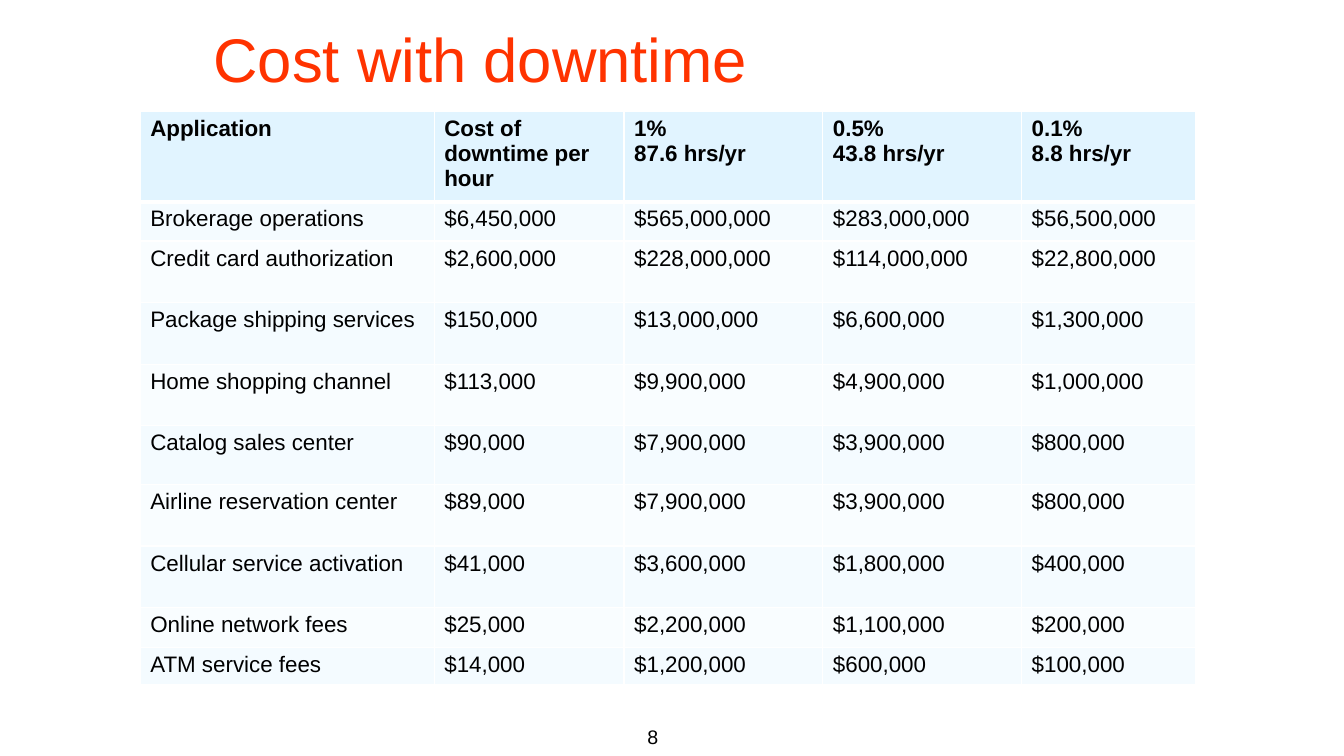
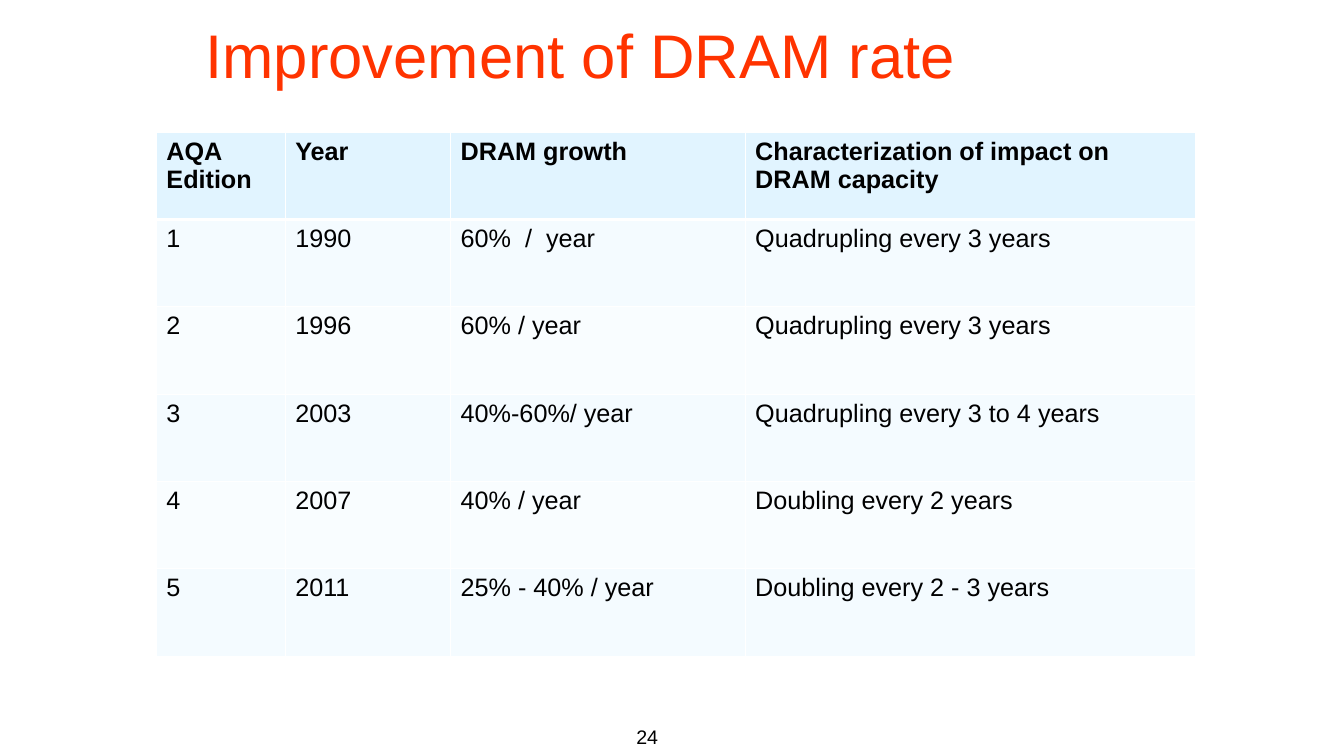
from dataclasses import dataclass

from lxml.etree import SubElement as Sub
from pptx import Presentation
from pptx.dml.color import RGBColor as RGB
from pptx.enum.text import MSO_ANCHOR as Anchor, PP_ALIGN as Align
from pptx.oxml.ns import qn
from pptx.util import Pt


@dataclass(frozen=True)
class Theme:
    font: str = "Arial"
    ink: str = "000000"
    accent: str = "FF3300"
    paper: str = "FFFFFF"
    head: str = "E1F4FF"
    odd: str = "F4FBFF"
    even: str = "F9FDFF"
    title: int = 44
    foot: int = 14
    thin: int = 1
    thick: int = 3


THEME = Theme()

COSTS = [
    ["Application", "Cost of downtime per hour", "1%\n87.6 hrs/yr",
     "0.5%\n43.8 hrs/yr", "0.1%\n8.8 hrs/yr"],
    ["Brokerage operations", "$6,450,000", "$565,000,000", "$283,000,000", "$56,500,000"],
    ["Credit card authorization", "$2,600,000", "$228,000,000", "$114,000,000", "$22,800,000"],
    ["Package shipping services", "$150,000", "$13,000,000", "$6,600,000", "$1,300,000"],
    ["Home shopping channel", "$113,000", "$9,900,000", "$4,900,000", "$1,000,000"],
    ["Catalog sales center", "$90,000", "$7,900,000", "$3,900,000", "$800,000"],
    ["Airline reservation center", "$89,000", "$7,900,000", "$3,900,000", "$800,000"],
    ["Cellular service activation", "$41,000", "$3,600,000", "$1,800,000", "$400,000"],
    ["Online network fees", "$25,000", "$2,200,000", "$1,100,000", "$200,000"],
    ["ATM service fees", "$14,000", "$1,200,000", "$600,000", "$100,000"],
]

GROWTH = [
    ["AQA Edition", "Year", "DRAM growth", "Characterization of impact on DRAM capacity"],
    ["1", "1990", "60%  /  year", "Quadrupling every 3 years"],
    ["2", "1996", "60% / year", "Quadrupling every 3 years"],
    ["3", "2003", "40%-60%/ year", "Quadrupling every 3 to 4 years"],
    ["4", "2007", "40% / year", "Doubling every 2 years"],
    ["5", "2011", "25% - 40% / year", "Doubling every 2 - 3 years"],
]


def write(frame, text, size, color=THEME.ink, bold=False, align=Align.LEFT):
    for i, line in enumerate(text.split("\n")):
        para = frame.add_paragraph() if i else frame.paragraphs[0]
        para.alignment = align
        run = para.add_run()
        run.text = line
        font = run.font
        font.name, font.size, font.bold = THEME.font, Pt(size), bold
        font.color.rgb = RGB.from_string(color)


def paint(item, color):
    item.fill.solid()
    item.fill.fore_color.rgb = RGB.from_string(color)


def add_box(slide, area):
    box = slide.shapes.add_textbox(*map(Pt, area))
    box.text_frame.word_wrap = True
    return box


def add_title(slide, text, area):
    box = add_box(slide, area)
    paint(box, THEME.paper)
    box.text_frame.vertical_anchor = Anchor.MIDDLE
    write(box.text_frame, text, THEME.title, THEME.accent)


def add_foot(slide, number):
    box = add_box(slide, (277.2, 514, 200, 36))
    write(box.text_frame, str(number), THEME.foot, align=Align.RIGHT)


def add_edges(cell, top, bottom):
    props = cell._tc.get_or_add_tcPr()
    for side, width in zip("LRTB", (THEME.thin, THEME.thin, top, bottom)):
        line = Sub(props, qn(f"a:ln{side}"), w=str(Pt(width)))
        Sub(Sub(line, qn("a:solidFill")), qn("a:srgbClr"), val=THEME.paper)


def add_grid(slide, data, left, top, cols, rows, size):
    area = map(Pt, (left, top, sum(cols), sum(rows)))
    table = slide.shapes.add_table(len(rows), len(cols), *area).table
    for col, width in zip(table.columns, cols):
        col.width = Pt(width)
    for r, (row, height) in enumerate(zip(table.rows, rows)):
        row.height = Pt(height)
        fill = THEME.head if r == 0 else THEME.odd if r % 2 else THEME.even
        above = THEME.thick if r == 1 else THEME.thin
        below = THEME.thick if r == 0 else THEME.thin
        for cell, text in zip(row.cells, data[r]):
            add_edges(cell, above, below)
            paint(cell, fill)
            write(cell.text_frame, text, size, bold=r == 0)


def add_page(deck, number, title, area):
    slide = deck.slides.add_slide(deck.slide_layouts[6])
    add_foot(slide, number)
    add_title(slide, title, area)
    return slide


def main():
    deck = Presentation()
    deck.slide_width, deck.slide_height = Pt(960), Pt(540)

    cost = add_page(deck, 8, "Cost with downtime", (145.4, 4.3, 679, 73.4))
    add_grid(cost, COSTS, 100.2, 79.3, (210, 135.6, 142, 142, 124.4),
             (62.6, 28, 44, 44, 44, 42, 44, 44, 28.6, 26), 16)

    growth = add_page(deck, 24, "Improvement of DRAM rate", (139.7, 0, 794, 77))
    add_grid(growth, GROWTH, 111.7, 94.4, (92, 118.2, 210.4, 322),
             [62.4] * len(GROWTH), 18)

    deck.save("out.pptx")


if __name__ == "__main__":
    main()
